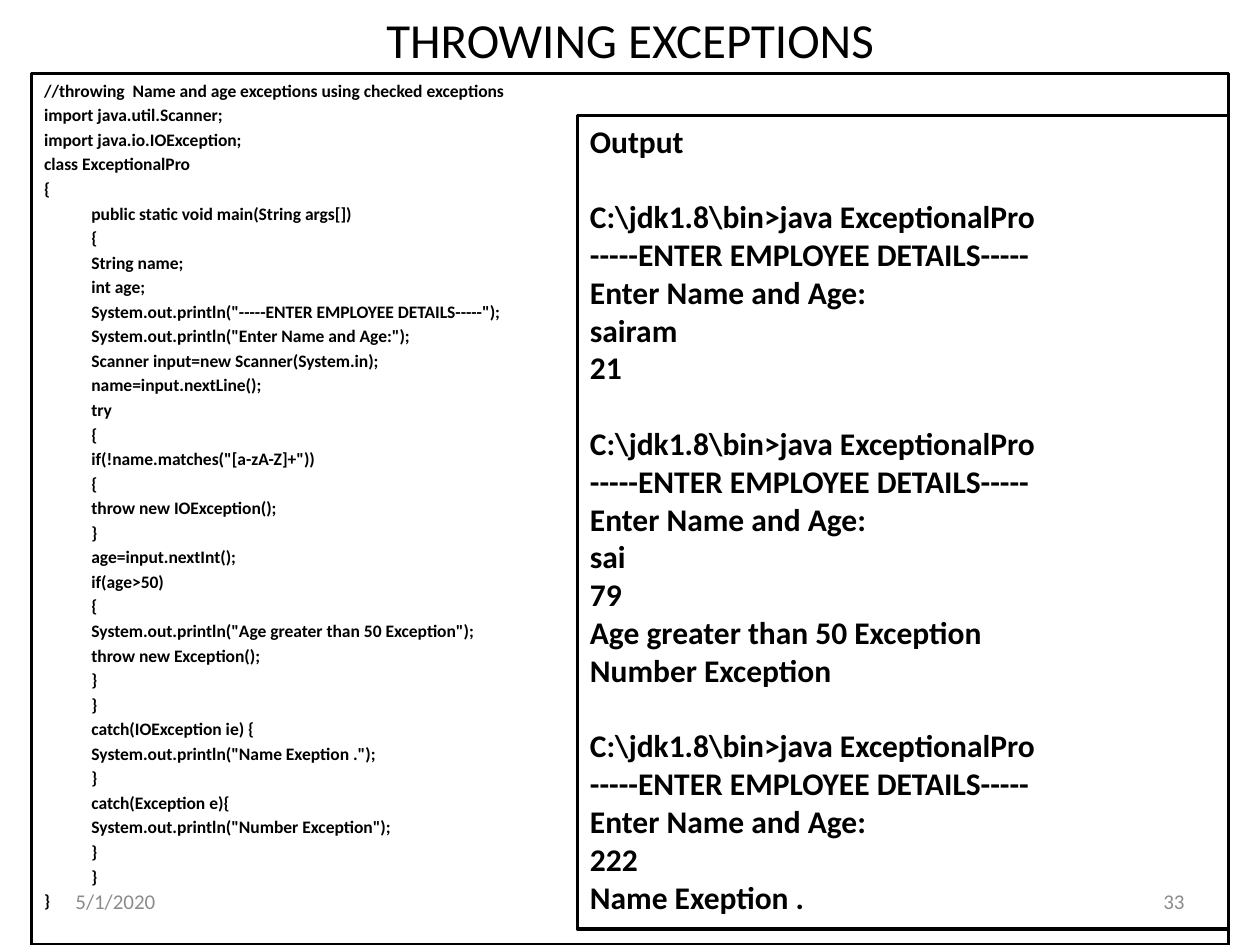
from lxml import etree
from pptx import Presentation
from pptx.dml.color import RGBColor
from pptx.enum.shapes import MSO_SHAPE
from pptx.enum.text import MSO_ANCHOR, MSO_AUTO_SIZE, PP_ALIGN
from pptx.oxml.ns import qn
from pptx.util import Pt

TITLE = "THROWING EXCEPTIONS"

CODE = """//throwing  Name and age exceptions using checked exceptions
import java.util.Scanner;
import java.io.IOException;
class ExceptionalPro
{
\tpublic static void main(String args[])
\t{
\tString name;
\tint age;
\tSystem.out.println("-----ENTER EMPLOYEE DETAILS-----");
\tSystem.out.println("Enter Name and Age:");
\tScanner input=new Scanner(System.in);
\tname=input.nextLine();
\ttry
\t{
\tif(!name.matches("[a-zA-Z]+"))
\t{
\tthrow new IOException();
\t}
\tage=input.nextInt();
\tif(age>50)
\t{
\tSystem.out.println("Age greater than 50 Exception");
\tthrow new Exception();
\t}
\t}
\tcatch(IOException ie) {
\tSystem.out.println("Name Exeption .");
\t}
\tcatch(Exception e){
\tSystem.out.println("Number Exception");
\t}
\t}
}"""

PROMPT = [
    r"C:\jdk1.8\bin>java ExceptionalPro",
    "-----ENTER EMPLOYEE DETAILS-----",
    "Enter Name and Age:",
]
RUNS = [
    ["sairam", "21"],
    ["sai", "79", "Age greater than 50 Exception", "Number Exception"],
    ["222", "Name Exeption ."],
]
OUTPUT_GROUPS = [["Output"]] + [PROMPT + replies for replies in RUNS]

FOOTERS = [("5/1/2020", 36, PP_ALIGN.LEFT), ("33", 516, PP_ALIGN.RIGHT)]

BLACK = RGBColor(0x00, 0x00, 0x00)
WHITE = RGBColor(0xFF, 0xFF, 0xFF)
GRAY = RGBColor(0x8C, 0x8C, 0x8C)
FONT = "Calibri"
GROUP_GAP = Pt(21.6)  # one line of 18 pt text


def place(shape, left, top, width, height):
    shape.left, shape.top = Pt(left), Pt(top)
    shape.width, shape.height = Pt(width), Pt(height)


def format_font(paragraph, size, color=BLACK, bold=False):
    for run in paragraph.runs:
        run.font.name = FONT
        run.font.size = Pt(size)
        run.font.bold = bold
        run.font.color.rgb = color


def frame(shape):
    """White fill with a black outline."""
    shape.fill.solid()
    shape.fill.fore_color.rgb = WHITE
    shape.line.color.rgb = BLACK
    shape.line.width = Pt(2)


def add_title(slide):
    title = slide.shapes.title
    place(title, 36, 0, 648, 45)
    title.text_frame.text = TITLE
    title.text_frame.vertical_anchor = MSO_ANCHOR.MIDDLE
    format_font(title.text_frame.paragraphs[0], 28)


def add_code(slide):
    body = slide.placeholders[1]
    place(body, 18, 42, 684, 498)
    frame(body)
    body.text_frame.text = CODE
    body.text_frame.auto_size = MSO_AUTO_SIZE.NONE
    for paragraph in body.text_frame.paragraphs:
        etree.SubElement(paragraph._p.get_or_add_pPr(), qn("a:buNone"))
        format_font(paragraph, 10, bold=True)
    body.text_frame.paragraphs[0].space_before = Pt(0)


def add_output(slide):
    box = slide.shapes.add_shape(
        MSO_SHAPE.RECTANGLE, Pt(330), Pt(66), Pt(372), Pt(465))
    box.shadow.inherit = False
    frame(box)
    text_frame = box.text_frame
    text_frame.text = "\n".join(line for group in OUTPUT_GROUPS for line in group)
    text_frame.vertical_anchor = MSO_ANCHOR.TOP
    text_frame.word_wrap = True
    for paragraph in text_frame.paragraphs:
        paragraph.alignment = PP_ALIGN.LEFT
        if paragraph.text == PROMPT[0]:
            paragraph.space_before = GROUP_GAP
        format_font(paragraph, 18, bold=True)


def add_footers(slide):
    for text, left, alignment in FOOTERS:
        box = slide.shapes.add_textbox(Pt(left), Pt(500.5), Pt(168), Pt(28.75))
        box.text_frame.word_wrap = True
        box.text_frame.vertical_anchor = MSO_ANCHOR.MIDDLE
        box.text_frame.text = text
        paragraph = box.text_frame.paragraphs[0]
        paragraph.alignment = alignment
        format_font(paragraph, 12, GRAY)


def main():
    presentation = Presentation()
    presentation.slide_width, presentation.slide_height = Pt(720), Pt(540)
    slide = presentation.slides.add_slide(presentation.slide_layouts[1])
    add_title(slide)
    add_code(slide)
    add_output(slide)
    add_footers(slide)
    presentation.save("out.pptx")


if __name__ == "__main__":
    main()
